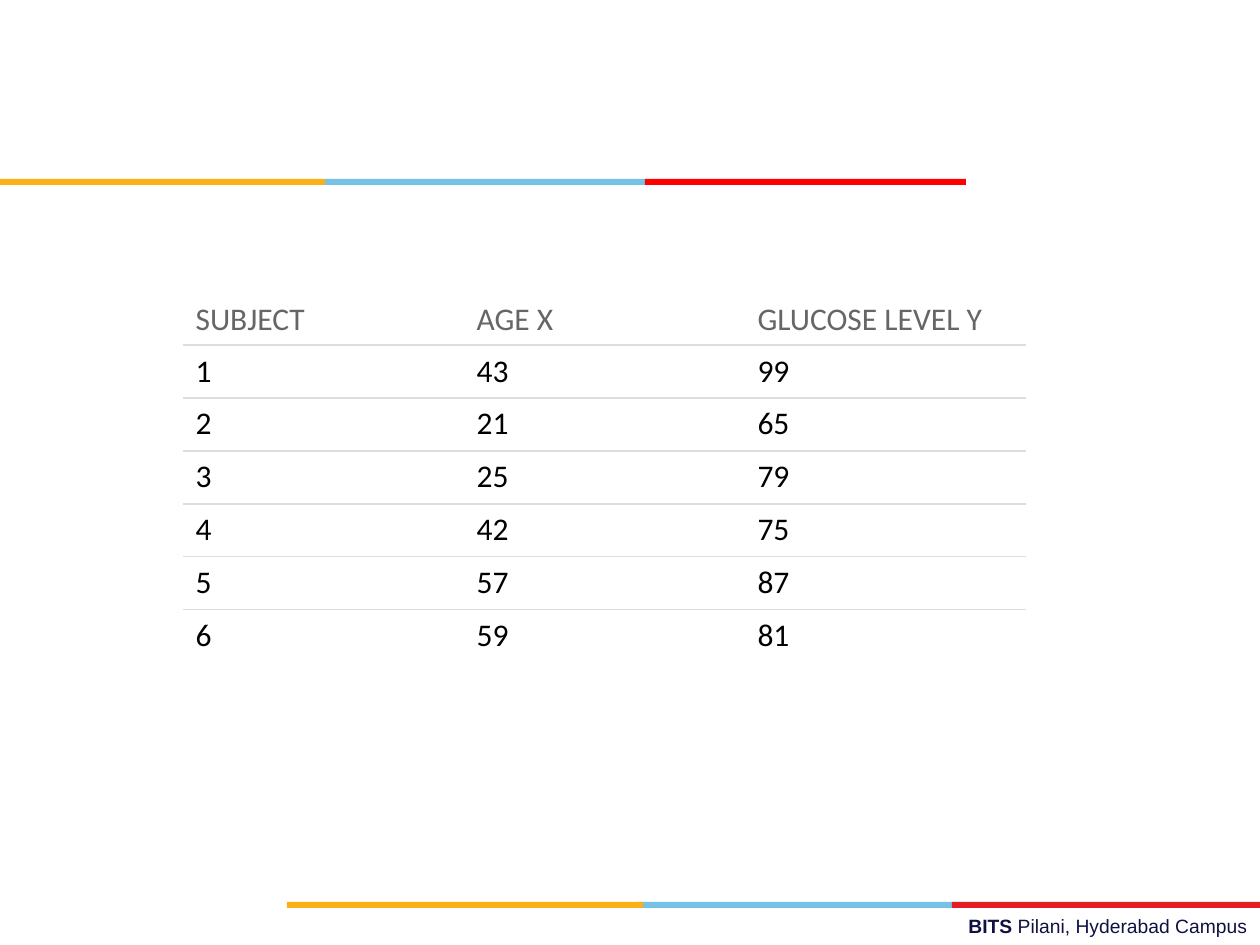
from dataclasses import dataclass

from lxml.etree import SubElement
from pptx import Presentation
from pptx.dml.color import RGBColor
from pptx.enum.shapes import MSO_SHAPE as Shape
from pptx.enum.text import MSO_ANCHOR as Anchor, PP_ALIGN as Align
from pptx.oxml.ns import qn
from pptx.util import Emu, Pt

EMU_PER_PX = 914400 // 126


def px(length):
    return Emu(length * EMU_PER_PX)


@dataclass(frozen=True)
class Theme:
    gold: str = "FCB017"
    blue: str = "76C2E5"
    red: str = "FF0000"
    crimson: str = "E31C24"
    navy: str = "101141"
    gray: str = "666666"
    black: str = "000000"
    white: str = "FFFFFF"
    rule: str = "DDDDDD"
    table_font: str = "Calibri"
    footer_font: str = "Arial"
    table_size: int = 18
    footer_size: int = 11
    rule_width: float = 0.75


def add_text(paragraph, text, *, font, size, color, bold=False):
    run = paragraph.add_run()
    run.text = text
    run.font.name = font
    run.font.size = Pt(size)
    run.font.bold = bold
    run.font.color.rgb = RGBColor.from_string(color)


def set_borders(cell, bottom, top, color, width):
    """Rule the chosen horizontal sides of a cell and clear the others."""
    properties = cell._tc.get_or_add_tcPr()
    for side, ruled in (("L", False), ("R", False), ("T", top), ("B", bottom)):
        line = SubElement(properties, qn(f"a:ln{side}"), w=str(Pt(width)))
        if ruled:
            fill = SubElement(line, qn("a:solidFill"))
            SubElement(fill, qn("a:srgbClr"), val=color)
        else:
            SubElement(line, qn("a:noFill"))


class SlideBuilder:
    def __init__(self, slide, theme):
        self.slide = slide
        self.theme = theme

    def color_band(self, top, bars, height=6):
        """Group of bars, each given as (left, width, color)."""
        group = self.slide.shapes.add_group_shape()
        for left, width, color in bars:
            bar = group.shapes.add_shape(
                Shape.RECTANGLE, px(left), px(top), px(width), px(height))
            bar.shadow.inherit = False
            bar.fill.solid()
            bar.fill.fore_color.rgb = RGBColor.from_string(color)
            bar.line.fill.background()

    def footer(self, left, top, width, height, parts):
        """Right-aligned line of (text, bold) parts."""
        box = self.slide.shapes.add_textbox(px(left), px(top), px(width), px(height))
        box.text_frame.word_wrap = True
        paragraph = box.text_frame.paragraphs[0]
        paragraph.alignment = Align.RIGHT
        for text, bold in parts:
            add_text(paragraph, text, font=self.theme.footer_font,
                     size=self.theme.footer_size, color=self.theme.navy, bold=bold)

    def table(self, left, top, column_width, header_height, row_height, rows):
        theme = self.theme
        heights = [header_height] + [row_height] * (len(rows) - 1)
        table = self.slide.shapes.add_table(
            len(rows), len(rows[0]), px(left), px(top),
            px(column_width * len(rows[0])), px(sum(heights))).table
        table.first_row = table.horz_banding = False
        for column in table.columns:
            column.width = px(column_width)
        for index, (values, height) in enumerate(zip(rows, heights)):
            table.rows[index].height = px(height)
            for cell, value in zip(table.rows[index].cells, values):
                set_borders(cell, index < len(rows) - 1, index > 0,
                            theme.rule, theme.rule_width)
                cell.fill.solid()
                cell.fill.fore_color.rgb = RGBColor.from_string(theme.white)
                cell.vertical_anchor = Anchor.MIDDLE
                if index > 0:
                    cell.margin_top, cell.margin_bottom = px(7), px(8)
                add_text(cell.text_frame.paragraphs[0], str(value),
                         font=theme.table_font, size=theme.table_size,
                         color=theme.black if index else theme.gray)


def main():
    presentation = Presentation()
    presentation.slide_width, presentation.slide_height = px(1260), px(945)
    theme = Theme()
    slide = presentation.slides.add_slide(presentation.slide_layouts[6])
    builder = SlideBuilder(slide, theme)

    builder.footer(451, 908, 809, 37,
                   [("BITS ", True), ("Pilani, Hyderabad Campus", False)])
    builder.color_band(902, [(638, 321, theme.blue), (952, 308, theme.crimson),
                             (287, 356, theme.gold)])
    builder.color_band(179, [(325, 321, theme.blue), (0, 325, theme.gold),
                             (645, 321, theme.red)])
    builder.table(183, 294, 281, 51, 53, [
        ("SUBJECT", "AGE X", "GLUCOSE LEVEL Y"),
        (1, 43, 99),
        (2, 21, 65),
        (3, 25, 79),
        (4, 42, 75),
        (5, 57, 87),
        (6, 59, 81),
    ])
    presentation.save("out.pptx")


if __name__ == "__main__":
    main()
